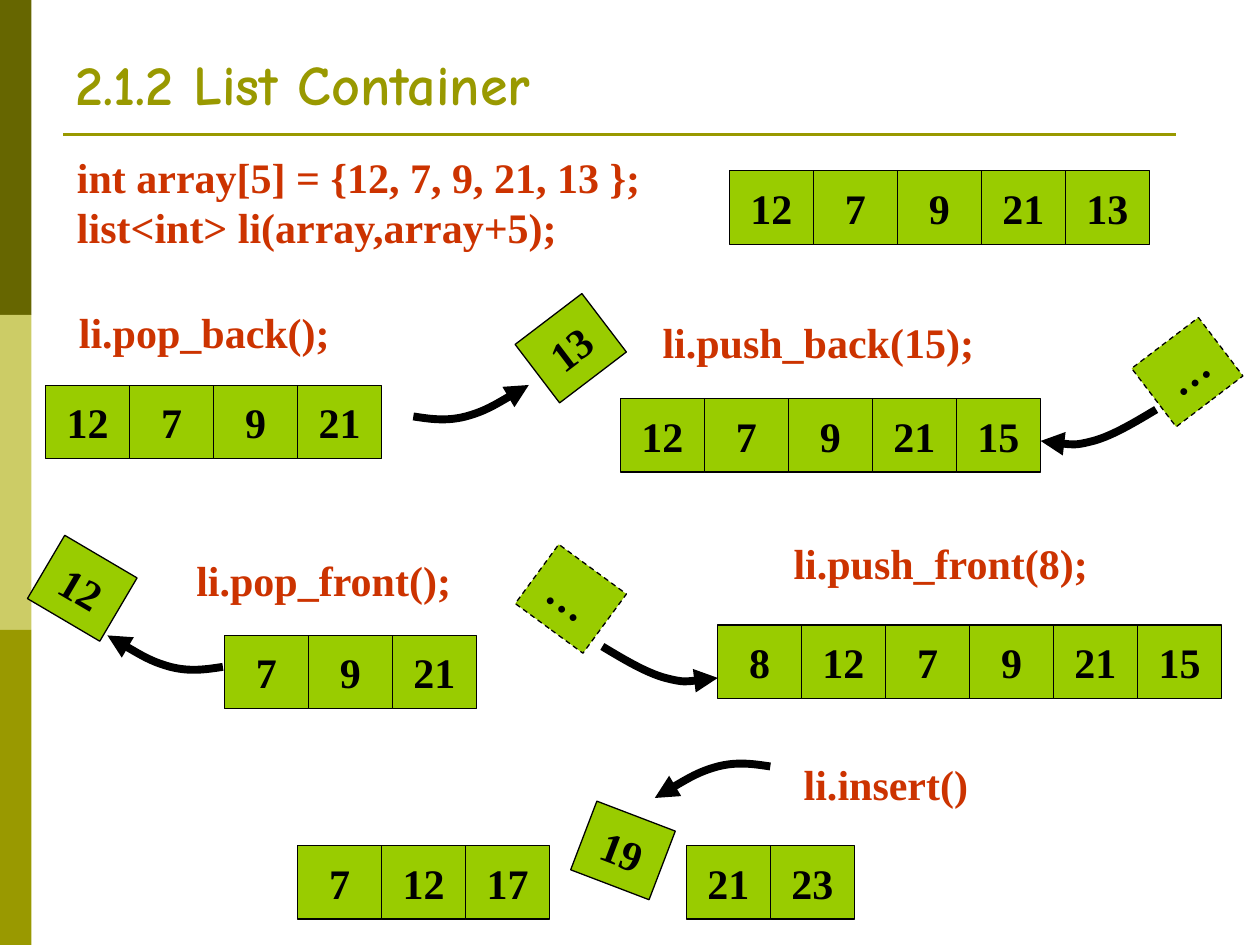
from dataclasses import dataclass

from lxml import etree
from pptx import Presentation
from pptx.dml.color import RGBColor
from pptx.enum.dml import MSO_LINE
from pptx.enum.shapes import MSO_CONNECTOR, MSO_SHAPE
from pptx.enum.text import MSO_ANCHOR, MSO_AUTO_SIZE, PP_ALIGN
from pptx.oxml.ns import qn
from pptx.shapes.autoshape import Shape
from pptx.slide import Slide
from pptx.text.text import TextFrame
from pptx.util import Pt

RECTANGLE = MSO_SHAPE.RECTANGLE
STRAIGHT = MSO_CONNECTOR.STRAIGHT
DASH = MSO_LINE.DASH
MIDDLE, BOTTOM, TOP = MSO_ANCHOR.MIDDLE, MSO_ANCHOR.BOTTOM, MSO_ANCHOR.TOP
CENTER, LEFT = PP_ALIGN.CENTER, PP_ALIGN.LEFT
NO_FIT = MSO_AUTO_SIZE.NONE


@dataclass(frozen=True)
class Theme:
    title_color: str = "999900"
    code_color: str = "CC3300"
    cell_fill: str = "99CC00"
    ink: str = "000000"
    sidebar: tuple[str, ...] = ("666600", "CCCC66", "999900")
    title_font: str = "Comic Neue"
    body_font: str = "Times New Roman"
    title_size: float = 32
    body_size: float = 24
    cell_line: float = 0.75
    rule_line: float = 1.5
    arrow_line: float = 4.5


@dataclass(frozen=True)
class CellRow:
    left: float
    top: float
    values: tuple[str, ...]


@dataclass(frozen=True)
class LooseCell:
    left: float
    top: float
    value: str
    rotation: float
    dashed: bool = False


@dataclass(frozen=True)
class CodeLabel:
    left: float
    top: float
    width: float
    height: float
    text: str


@dataclass(frozen=True)
class CurvedArrow:
    """A bend from (x, y); the directions are 1 or -1 and mirror it."""
    x: float
    y: float
    x_direction: int
    y_direction: int
    arrowhead: str


THEME = Theme()
SLIDE_WIDTH, SLIDE_HEIGHT = 720, 540
SIDEBAR_WIDTH = 18
CELL_WIDTH, CELL_HEIGHT = 48, 42
# Start, then three points for each of two cubic curves
BEND = ((0, 0), (9.4, 1.4), (18.7, 2.9), (30, 0), (41, -3), (53.5, -10.5), (66, -18))

ROWS = (
    CellRow(416.8, 97.6, ("12", "7", "9", "21", "13")),
    CellRow(26.1, 220.2, ("12", "7", "9", "21")),
    CellRow(354.5, 227.8, ("12", "7", "9", "21", "15")),
    CellRow(128.2, 363.1, ("7", "9", "21")),
    CellRow(410, 357.2, ("8", "12", "7", "9", "21", "15")),
    CellRow(170.1, 483.2, ("7", "12", "17")),
    CellRow(392.2, 483.2, ("21", "23")),
)
LOOSE_CELLS = (
    LooseCell(302.2, 178, "13", -37.3),
    LooseCell(654.5, 191.7, "…", -37.3, dashed=True),
    LooseCell(23, 315.2, "12", 30.5),
    LooseCell(302.2, 321.2, "…", 36.3, dashed=True),
    LooseCell(332, 465, "19", 20.9),
)
LABELS = (
    CodeLabel(36.9, 82.8, 342, 65,
              "int array[5] = {12, 7, 9, 21, 13 };\nlist<int> li(array,array+5);"),
    CodeLabel(38, 171.4, 164, 36, "li.pop_back();"),
    CodeLabel(371.5, 177.1, 198, 36, "li.push_back(15);"),
    CodeLabel(105.1, 313.2, 167, 36, "li.pop_front();"),
    CodeLabel(446.4, 303.5, 189, 36, "li.push_front(8);"),
    CodeLabel(452.2, 429.8, 114, 36, "li.insert()"),
)
ARROWS = (
    CurvedArrow(236.2, 238, 1, 1, "tailEnd"),
    CurvedArrow(594.7, 252, 1, 1, "headEnd"),
    CurvedArrow(127.4, 381.1, -1, 1, "tailEnd"),
    CurvedArrow(410.2, 387.4, -1, 1, "headEnd"),
    CurvedArrow(440.2, 438, -1, -1, "tailEnd"),
)


def rgb(color: str) -> RGBColor:
    return RGBColor.from_string(color)


def write_text(frame: TextFrame, text: str, font: str, size: float, color: str,
               anchor=TOP, alignment=LEFT, wrap: bool = True) -> None:
    frame.text = text
    frame.word_wrap = wrap
    frame.auto_size = NO_FIT
    frame.vertical_anchor = anchor
    for paragraph in frame.paragraphs:
        paragraph.alignment = alignment
        for run in paragraph.runs:
            run.font.name = font
            run.font.size = Pt(size)
            run.font.bold = True
            run.font.color.rgb = rgb(color)


def add_rectangle(slide: Slide, left: float, top: float, width: float,
                  height: float, fill: str) -> Shape:
    shape = slide.shapes.add_shape(RECTANGLE, Pt(left), Pt(top), Pt(width), Pt(height))
    shape.shadow.inherit = False
    shape.fill.solid()
    shape.fill.fore_color.rgb = rgb(fill)
    shape.line.fill.background()
    return shape


def add_cell(slide: Slide, cell: LooseCell) -> None:
    shape = add_rectangle(slide, cell.left, cell.top, CELL_WIDTH, CELL_HEIGHT, THEME.cell_fill)
    shape.rotation = cell.rotation
    shape.line.color.rgb = rgb(THEME.ink)
    shape.line.width = Pt(THEME.cell_line)
    if cell.dashed:
        shape.line.dash_style = DASH
    write_text(shape.text_frame, cell.value, THEME.body_font, THEME.body_size,
               THEME.ink, MIDDLE, CENTER, wrap=False)


def add_row(slide: Slide, row: CellRow) -> None:
    for index, value in enumerate(row.values):
        add_cell(slide, LooseCell(row.left + index * CELL_WIDTH, row.top, value, 0))


def add_label(slide: Slide, label: CodeLabel) -> None:
    box = slide.shapes.add_textbox(Pt(label.left), Pt(label.top), Pt(label.width), Pt(label.height))
    write_text(box.text_frame, label.text, THEME.body_font, THEME.body_size, THEME.code_color)


def add_arrow(slide: Slide, arrow: CurvedArrow) -> None:
    """Build the bend as a freeform, then turn each three lines into a cubic curve."""
    points = [(Pt(arrow.x + arrow.x_direction * x), Pt(arrow.y + arrow.y_direction * y))
              for x, y in BEND]
    builder = slide.shapes.build_freeform(*points[0])
    builder.add_line_segments(points[1:], close=False)
    shape = builder.convert_to_shape()
    shape.shadow.inherit = False
    shape.fill.background()
    shape.line.color.rgb = rgb(THEME.ink)
    shape.line.width = Pt(THEME.arrow_line)
    etree.SubElement(shape.line._get_or_add_ln(), qn(f"a:{arrow.arrowhead}"), type="triangle")

    lines = list(shape._element.iter(qn("a:lnTo")))
    outline = lines[0].getparent()
    for start in range(0, len(lines), 3):
        curve = etree.SubElement(outline, qn("a:cubicBezTo"))
        for line in lines[start:start + 3]:
            curve.append(line[0])
            outline.remove(line)


def add_frame(slide: Slide) -> None:
    """Draw the sidebar, the title and the rule below it."""
    band_height = SLIDE_HEIGHT / len(THEME.sidebar)
    for index, color in enumerate(THEME.sidebar):
        add_rectangle(slide, 0, index * band_height, SIDEBAR_WIDTH, band_height, color)
    rule = slide.shapes.add_connector(STRAIGHT, Pt(36), Pt(77), Pt(672), Pt(77))
    rule.line.color.rgb = rgb(THEME.title_color)
    rule.line.width = Pt(THEME.rule_line)
    etree.SubElement(rule._element.spPr, qn("a:effectLst"))
    title = slide.shapes.add_textbox(Pt(36), Pt(20), Pt(648), Pt(50))
    write_text(title.text_frame, "2.1.2 List Container", THEME.title_font,
               THEME.title_size, THEME.title_color, BOTTOM)


def main() -> None:
    presentation = Presentation()
    presentation.slide_width = Pt(SLIDE_WIDTH)
    presentation.slide_height = Pt(SLIDE_HEIGHT)
    slide = presentation.slides.add_slide(presentation.slide_layouts[6])
    add_frame(slide)
    for draw, items in ((add_row, ROWS), (add_cell, LOOSE_CELLS),
                        (add_label, LABELS), (add_arrow, ARROWS)):
        for item in items:
            draw(slide, item)
    presentation.save("out.pptx")


if __name__ == "__main__":
    main()
